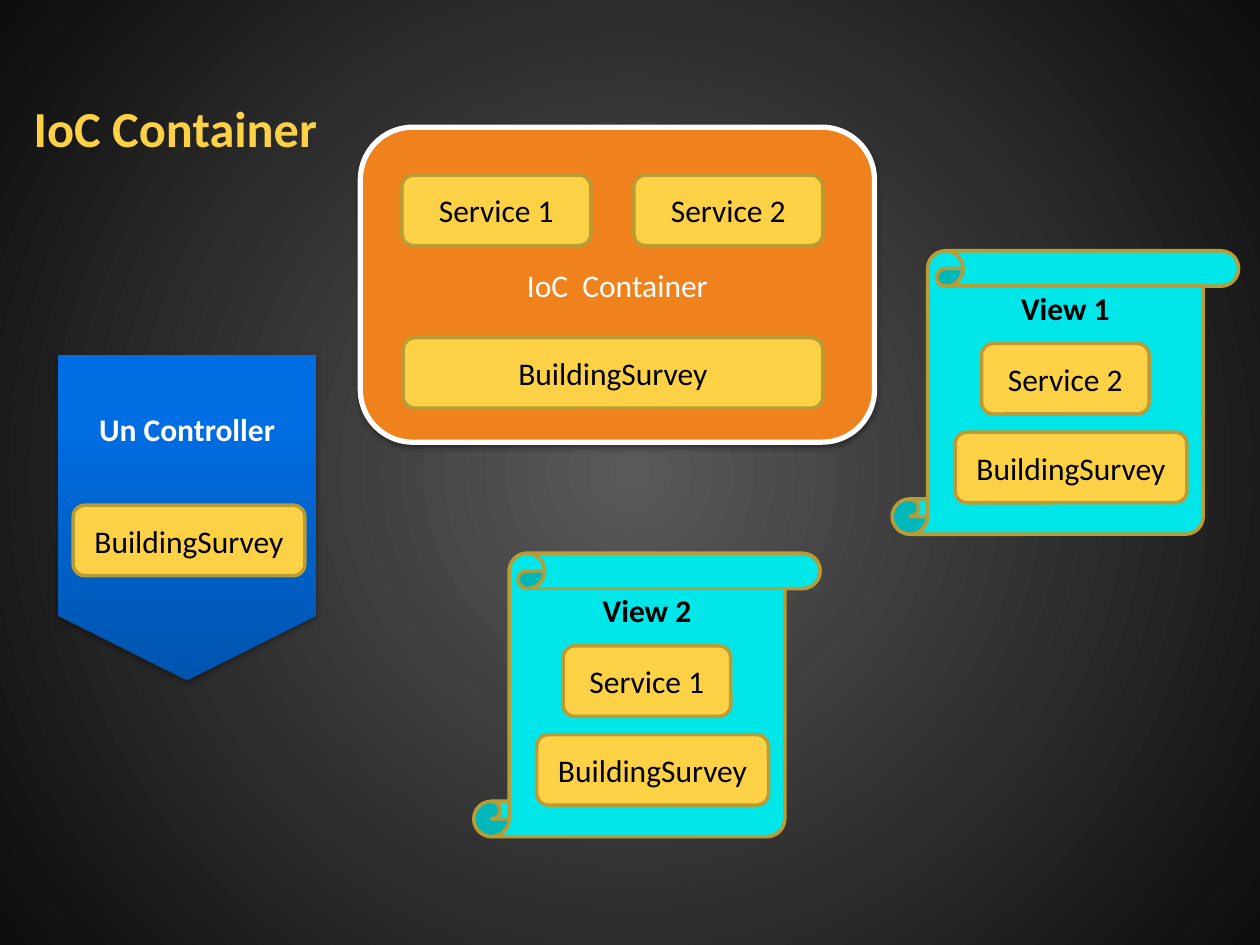
from dataclasses import dataclass
from typing import NamedTuple, Optional

from lxml import etree
from pptx import Presentation
from pptx.dml.color import RGBColor
from pptx.enum import shapes, text
from pptx.oxml.ns import qn
from pptx.util import Pt

Shape = shapes.MSO_SHAPE
Align = text.PP_ALIGN
Anchor = text.MSO_ANCHOR


@dataclass(frozen=True)
class Theme:
    font: str = "Calibri"
    title_size: float = 28.8
    body_size: float = 18
    gold: str = "FDD146"
    gold_edge: str = "BB9B34"
    orange: str = "F0821E"
    cyan: str = "00E6E9"
    white: str = "FFFFFF"
    black: str = "000000"
    backdrop: tuple = ((0, "595959"), (100, "0D0D0D"))
    controller: tuple = ((0, "0054AE"), (80, "006DE2"), (100, "006EE3"))


THEME = Theme()


class Box(NamedTuple):
    left: float
    top: float
    width: float
    height: float


class Card(NamedTuple):
    label: str
    left: float
    top: float
    width: float


class View(NamedTuple):
    title: str
    service: str
    left: float
    top: float


CARD_HEIGHT = 40.3
SURVEY_WIDTH = 132.5
SURVEY = "BuildingSurvey"

CARDS = [
    Card("Service 1", 229.7, 100.1, 108),
    Card("Service 2", 362.2, 100.1, 108),
    Card(SURVEY, 230.4, 193, 239.8),
]
VIEWS = [
    View("View 1", "Service 2", 509.8, 143.3),
    View("View 2", "Service 1", 270.7, 316.1),
]


def add_node(parent, tag: str, **attributes):
    return etree.SubElement(parent, qn(tag), {k: str(v) for k, v in attributes.items()})


def set_gradient(owner, fill, stops: tuple, angle: Optional[int] = None) -> None:
    """Fill with the stops along a clockwise angle, or from the centre without one."""
    fill.gradient()
    gradient = owner.find(".//" + qn("a:gradFill"))
    gradient.clear()
    stop_list = add_node(gradient, "a:gsLst")
    for position, color in stops:
        stop = add_node(stop_list, "a:gs", pos=position * 1000)
        add_node(stop, "a:srgbClr", val=color)
    if angle is None:
        circle = add_node(gradient, "a:path", path="circle")
        add_node(circle, "a:fillToRect", l=50000, t=50000, r=50000, b=50000)
    else:
        add_node(gradient, "a:lin", ang=angle * 60000, scaled=0)


def add_shadow(shape, opacity: int, blur: float, distance: float) -> None:
    effects = shape._element.spPr.find(qn("a:effectLst"))
    shadow = add_node(effects, "a:outerShdw", blurRad=Pt(blur), dist=Pt(distance),
                      dir=90 * 60000, rotWithShape=0)
    color = add_node(shadow, "a:srgbClr", val=THEME.black)
    add_node(color, "a:alpha", val=opacity * 1000)


def write(shape, words: str, *, color: str = THEME.black, size: float = THEME.body_size,
          bold: bool = False, align=Align.CENTER, anchor=Anchor.MIDDLE,
          top_margin: float = 3.6) -> None:
    frame = shape.text_frame
    frame.word_wrap = True
    frame.vertical_anchor = anchor
    frame.margin_top = Pt(top_margin)
    paragraph = frame.paragraphs[0]
    paragraph.alignment = align
    run = paragraph.add_run()
    run.text = words
    run.font.name = THEME.font
    run.font.size = Pt(size)
    run.font.bold = bold
    run.font.color.rgb = RGBColor.from_string(color)


def add_figure(slide, kind, box: Box, fill: Optional[str] = None,
               line: Optional[str] = None, line_width: float = 2):
    figure = slide.shapes.add_shape(kind, *map(Pt, box))
    figure.shadow.inherit = False
    if fill:
        figure.fill.solid()
        figure.fill.fore_color.rgb = RGBColor.from_string(fill)
    if line:
        figure.line.color.rgb = RGBColor.from_string(line)
        figure.line.width = Pt(line_width)
    else:
        figure.line.fill.background()
    return figure


def add_card(slide, card: Card) -> None:
    box = Box(card.left, card.top, card.width, CARD_HEIGHT)
    figure = add_figure(slide, Shape.ROUNDED_RECTANGLE, box, THEME.gold, THEME.gold_edge)
    write(figure, card.label)


def add_view(slide, view: View) -> None:
    """Draw a scroll with its service and the survey inside."""
    scroll = add_figure(slide, Shape.VERTICAL_SCROLL, Box(view.left, view.top, 198, 162),
                        THEME.cyan, THEME.gold_edge)
    write(scroll, view.title, bold=True, anchor=Anchor.TOP, top_margin=1.5)
    add_card(slide, Card(view.service, view.left + 51.1, view.top + 53, 95.8))
    add_card(slide, Card(SURVEY, view.left + 36, view.top + 103.7, SURVEY_WIDTH))


def add_container(slide) -> None:
    container = add_figure(slide, Shape.ROUNDED_RECTANGLE, Box(205.9, 72.7, 293.8, 180),
                           THEME.orange, THEME.white, 3)
    add_shadow(container, 38, 3.1, 1.6)
    write(container, "IoC  Container", color=THEME.white)
    for card in CARDS:
        add_card(slide, card)


def add_controller(slide) -> None:
    controller = add_figure(slide, Shape.FLOWCHART_OFFPAGE_CONNECTOR,
                            Box(33.1, 203, 147.6, 185.8))
    set_gradient(controller._element, controller.fill, THEME.controller, 270)
    add_shadow(controller, 35, 3.1, 1.8)
    write(controller, "Un Controller", color=THEME.white, bold=True,
          anchor=Anchor.TOP, top_margin=31.5)
    add_card(slide, Card(SURVEY, 41.8, 288.7, SURVEY_WIDTH))


def main() -> None:
    deck = Presentation()
    deck.slide_width, deck.slide_height = Pt(720), Pt(540)
    slide = deck.slides.add_slide(deck.slide_layouts[6])
    set_gradient(slide._element, slide.background.fill, THEME.backdrop)

    title = slide.shapes.add_textbox(*map(Pt, Box(12.2, 51.8, 612, 41.8)))
    write(title, "IoC Container", color=THEME.gold, size=THEME.title_size,
          bold=True, align=Align.LEFT)
    add_container(slide)
    for view in VIEWS:
        add_view(slide, view)
    add_controller(slide)
    deck.save("out.pptx")


if __name__ == "__main__":
    main()
